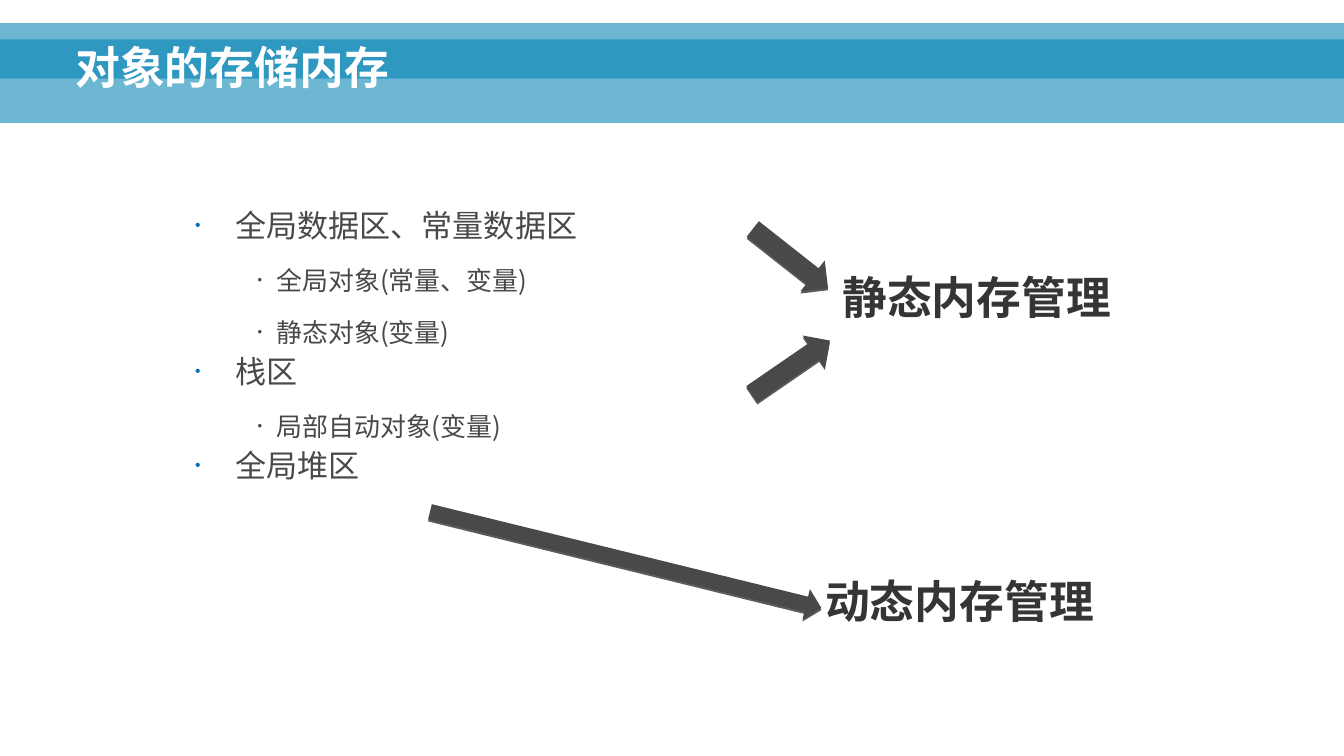
from lxml import etree
from pptx import Presentation
from pptx import util as u
from pptx.dml import color
from pptx.enum import shapes, text
from pptx.oxml import ns

THEME = {
    "band": "0082B3", "title": "FFFFFF", "body": "47494B",
    "bullet": "046FB6", "arrow": "47494B", "label": "343537",
    "latin": "Arial", "asian": "Noto Sans CJK SC",
    "heading_size": 32, "area_size": 22.2, "object_size": 18.5,
}

presentation = Presentation()
presentation.slide_width = u.Inches(13.34)
presentation.slide_height = u.Inches(7.5)
slide = presentation.slides.add_slide(presentation.slide_layouts[6])

# The grid has 100 columns and 100 rows
COLUMN = presentation.slide_width / 100
ROW = presentation.slide_height / 100


def place(left, top, width, height):
    return [round(n) for n in (left * COLUMN, top * ROW, width * COLUMN, height * ROW)]


def add_run(paragraph, words, size, ink, latin, bold=False):
    run = paragraph.add_run()
    run.text = words
    run.font.size = u.Pt(size)
    run.font.bold = bold
    run.font.name = latin
    run.font.color.rgb = color.RGBColor.from_string(ink)
    etree.SubElement(run.font._element, ns.qn("a:ea"), typeface=THEME["asian"])


# Two translucent header bands, darker where they overlap
for top, height in ((5.2, 11.07), (3.07, 7.33)):
    band = slide.shapes.add_shape(shapes.MSO_SHAPE.RECTANGLE, *place(0, top, 100, height))
    band.shadow.inherit = False
    band.fill.solid()
    band.fill.fore_color.rgb = color.RGBColor.from_string(THEME["band"])
    band.line.fill.background()
    tint = band._element.spPr.find(".//" + ns.qn("a:srgbClr"))
    etree.SubElement(tint, ns.qn("a:alpha"), val="57000")

# Title
title = slide.shapes.add_textbox(*place(4.87, 1.47, 89.81, 11.6)).text_frame
title.word_wrap = True
title.vertical_anchor = text.MSO_ANCHOR.BOTTOM
title.paragraphs[0].line_spacing = 0.9
add_run(title.paragraphs[0], "对象的存储内存", THEME["heading_size"], THEME["title"],
        THEME["latin"], bold=True)

# Memory areas (level 0) and the objects they hold (level 1)
LEVELS = (
    {"indent": 0.4, "hanging": 0.4, "spacing": 0.9, "align": text.PP_ALIGN.JUSTIFY,
     "size": THEME["area_size"], "bullet": THEME["bullet"]},
    {"indent": 0.81, "hanging": 0.19, "spacing": 1.4, "align": text.PP_ALIGN.LEFT,
     "size": THEME["object_size"], "bullet": THEME["body"]},
)
OUTLINE = (
    (0, "全局数据区、常量数据区"),
    (1, "全局对象(常量、变量)"),
    (1, "静态对象(变量)"),
    (0, "栈区"),
    (1, "局部自动对象(变量)"),
    (0, "全局堆区"),
)
body = slide.shapes.add_textbox(*place(13.79, 27.2, 41.3, 40)).text_frame
body.word_wrap = True
for index, (depth, words) in enumerate(OUTLINE):
    level = LEVELS[depth]
    paragraph = body.add_paragraph() if index else body.paragraphs[0]
    paragraph.level = depth
    paragraph.alignment = level["align"]
    paragraph.line_spacing = level["spacing"]
    paragraph.space_before = u.Pt(3 if index else 0)
    paragraph.space_after = u.Pt(3)
    properties = paragraph._element.get_or_add_pPr()
    properties.set("marL", str(u.Inches(level["indent"])))
    properties.set("indent", str(-u.Inches(level["hanging"])))
    bullet_color = etree.SubElement(properties, ns.qn("a:buClr"))
    etree.SubElement(bullet_color, ns.qn("a:srgbClr"), val=level["bullet"])
    etree.SubElement(properties, ns.qn("a:buSzPct"), val="50000")
    etree.SubElement(properties, ns.qn("a:buFont"), typeface=THEME["latin"])
    etree.SubElement(properties, ns.qn("a:buChar"), char="•")
    add_run(paragraph, words, level["size"], THEME["body"], THEME["asian"])

# Arrows from the areas to the kinds of management
for box, angle in (
    ((55.25, 31.6, 7.12, 5.2), 38.2),
    ((55.32, 46, 7.05, 5.2), 325.5),
    ((31.56, 72, 29.99, 4.13), 13.8),
):
    arrow = slide.shapes.add_shape(shapes.MSO_SHAPE.RIGHT_ARROW, *place(*box))
    arrow.rotation = angle
    arrow.fill.solid()
    arrow.fill.fore_color.rgb = color.RGBColor.from_string(THEME["arrow"])
    arrow.line.fill.background()
    arrow.shadow.inherit = False
    effects = arrow._element.spPr.find(ns.qn("a:effectLst"))
    shadow = etree.SubElement(effects, ns.qn("a:outerShdw"), blurRad="0",
                              dist=str(u.Pt(1.5)), dir="5400000", rotWithShape="0")
    shade = etree.SubElement(shadow, ns.qn("a:srgbClr"), val="000000")
    etree.SubElement(shade, ns.qn("a:alpha"), val="63000")

# Kinds of memory management
for left, top, words in ((62.67, 36.53, "静态内存管理"), (61.39, 76.67, "动态内存管理")):
    label = slide.shapes.add_textbox(*place(left, top, 20.39, 6.4)).text_frame
    label.word_wrap = True
    label.auto_size = text.MSO_AUTO_SIZE.SHAPE_TO_FIT_TEXT
    label.margin_left = label.margin_right = label.margin_top = label.margin_bottom = 0
    label.paragraphs[0].line_spacing = 0.9
    add_run(label.paragraphs[0], words, THEME["heading_size"], THEME["label"],
            THEME["latin"], bold=True)

presentation.save("out.pptx")
